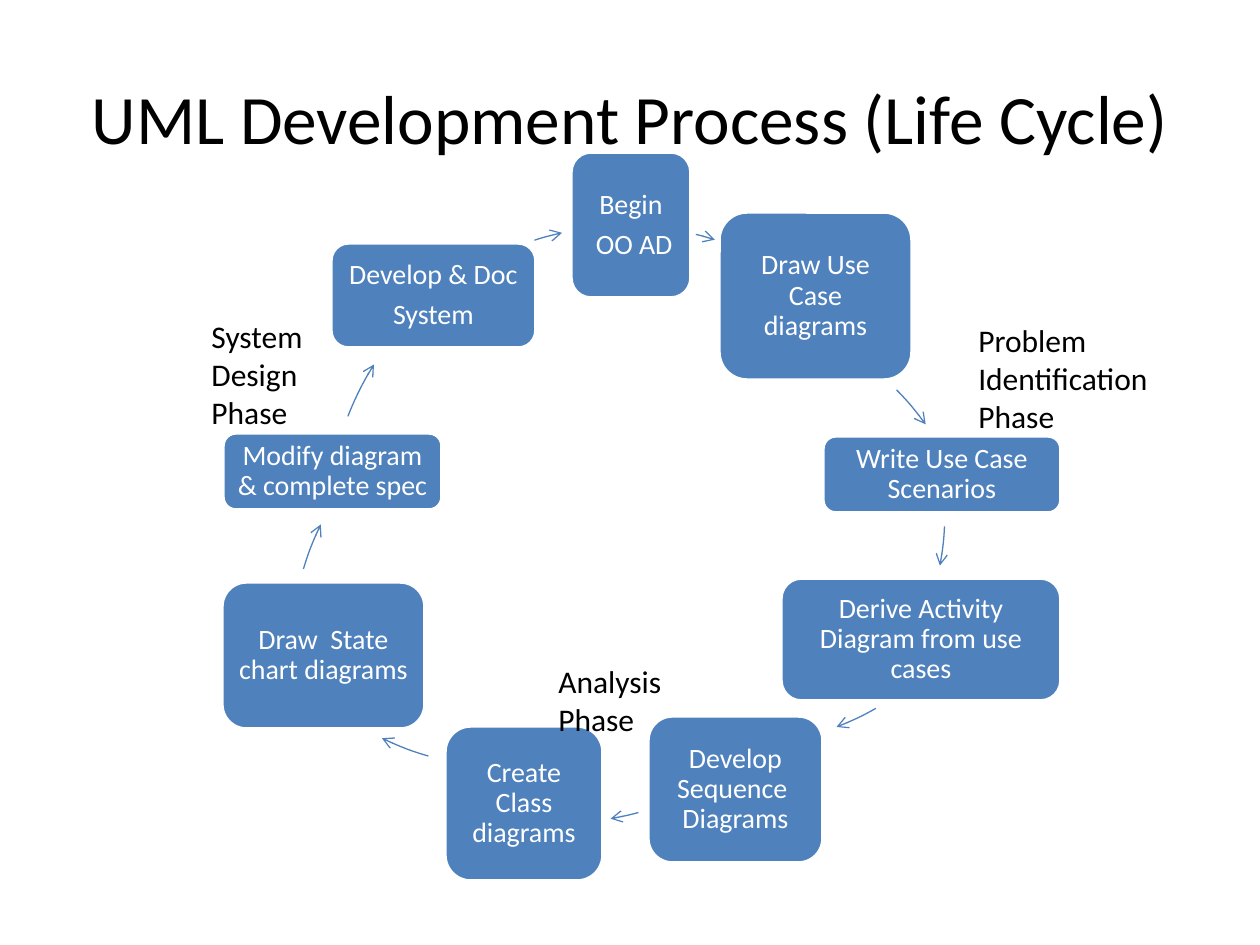
from lxml import etree
from pptx import Presentation, util as u
from pptx.dml.color import RGBColor
from pptx.enum import shapes, text
from pptx.oxml.ns import qn

SCALE = 914400 // 126  # EMU per pixel
BLUE, WHITE, BLACK = "4F81BD", "FFFFFF", "000000"


def px(*lengths):
    return [u.Emu(length * SCALE) for length in lengths]


def color(value):
    return RGBColor.from_string(value)


class Painter:
    font = "Calibri"
    arc_size = 595

    def __init__(self, slide):
        self.slide = slide

    def set_text(self, shape, lines, size, ink, align, anchor, inset=None):
        frame = shape.text_frame
        frame.word_wrap = True
        frame.vertical_anchor = anchor
        if inset is not None:
            (margin,) = px(inset)
            frame.margin_left = frame.margin_right = margin
            frame.margin_top = frame.margin_bottom = margin
        frame.text = "\n".join(lines)
        for para in frame.paragraphs:
            para.alignment = align
            para.font.name = self.font
            para.font.size = u.Pt(size)
            para.font.color.rgb = color(ink)
        return frame

    def title(self, line, *place):
        title = self.slide.shapes.title
        title.left, title.top, title.width, title.height = px(*place)
        frame = self.set_text(title, [line], 39.6, BLACK,
                              text.PP_ALIGN.CENTER, text.MSO_ANCHOR.MIDDLE)
        frame.auto_size = text.MSO_AUTO_SIZE.NONE

    def step(self, lines, *place):
        box = self.slide.shapes.add_shape(
            shapes.MSO_SHAPE.ROUNDED_RECTANGLE, *px(*place))
        box.shadow.inherit = False
        box.fill.solid()
        box.fill.fore_color.rgb = color(BLUE)
        box.line.color.rgb = color(WHITE)
        box.line.width = u.Pt(2)
        frame = self.set_text(box, lines, 16, WHITE, text.PP_ALIGN.CENTER,
                              text.MSO_ANCHOR.MIDDLE, inset=9)
        for para in frame.paragraphs:
            para.line_spacing = 0.9
            para.space_after = u.Pt(5.6)

    def arc(self, left, top, start, end):
        """Clockwise arrow along a circle, angles in degrees from the right."""
        arc = self.slide.shapes.add_shape(
            shapes.MSO_SHAPE.ARC, *px(left, top, self.arc_size, self.arc_size))
        arc.shadow.inherit = False
        arc.fill.background()
        # Angles are stored in 1/60000 degree, adjustments in 1/100000
        arc.adjustments[0] = start * 0.6
        arc.adjustments[1] = end * 0.6
        arc.line.color.rgb = color(BLUE)
        arc.line.width = u.Pt(0.75)
        line = arc.element.spPr.find(qn("a:ln"))
        etree.SubElement(line, qn("a:tailEnd"), type="arrow")

    def label(self, lines, *place):
        box = self.slide.shapes.add_textbox(*px(*place))
        frame = self.set_text(box, lines, 18, BLACK,
                              text.PP_ALIGN.LEFT, text.MSO_ANCHOR.TOP)
        frame.auto_size = text.MSO_AUTO_SIZE.SHAPE_TO_FIT_TEXT


# Each step: lines, box, and the arc that leads to the next step
STEPS = [
    (["Begin", " OO AD"], (571, 152, 120, 146), (328, 226, 283.7, 287.5)),
    (["Draw Use Case diagrams"], (719, 212, 193, 168), (387, 301, 315.5, 324.2)),
    (["Write Use Case Scenarios"], (823, 436, 238, 77), (350, 214, 2.9, 10.5)),
    (["Derive Activity Diagram from use cases"], (781, 578, 280, 123),
     (432, 152, 60.5, 68.9)),
    (["Develop Sequence  Diagrams"], (648, 716, 175, 147), (263, 228, 74.8, 80.3)),
    (["Create Class diagrams"], (445, 726, 158, 155), (214, 173, 106.2, 115.8)),
    (["Draw  State chart diagrams"], (222, 582, 203, 147), (291, 357, 196.7, 205.9)),
    (["Modify diagram & complete spec"], (223, 433, 219, 77),
     (328, 226, 201.1, 212.3)),
    (["Develop & Doc", "System"], (331, 243, 205, 105), (328, 226, 252.2, 257.7)),
]

PHASES = [
    (["Problem Identification Phase"], (966, 315, 252, 127)),
    (["Analysis Phase"], (546, 656, 179, 89)),
    (["System  Design", "Phase"], (199, 311, 158, 127)),
]

deck = Presentation()
deck.slide_width, deck.slide_height = u.Inches(10), u.Inches(7.5)
page = Painter(deck.slides.add_slide(deck.slide_layouts[5]))

page.title("UML Development Process (Life Cycle)", 63, 38, 1134, 158)

# Life cycle
for lines, place, arc in STEPS:
    page.step(lines, *place)
    page.arc(*arc)

# Phase names
for lines, place in PHASES:
    page.label(lines, *place)

deck.save("out.pptx")
